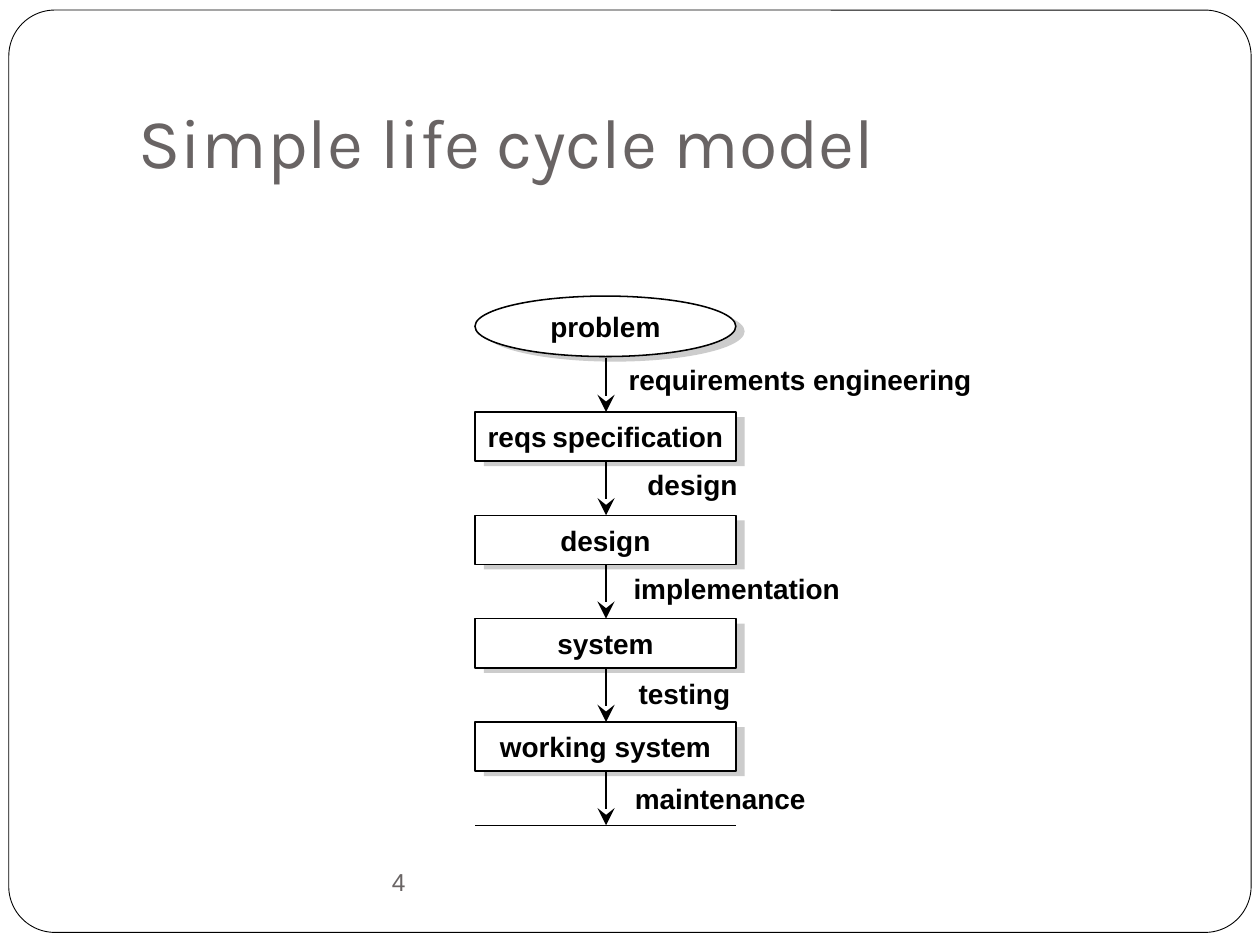
from lxml.etree import SubElement
from pptx import Presentation
from pptx.dml.color import RGBColor
from pptx.enum.shapes import MSO_CONNECTOR, MSO_SHAPE
from pptx.enum.text import MSO_ANCHOR, MSO_AUTO_SIZE, PP_ALIGN
from pptx.oxml.ns import qn
from pptx.util import Inches, Pt

COLORS = {"ink": "000000", "paper": "FFFFFF", "shadow": "CCCCCC", "heading": "696464"}
LINE_WIDTH = 0.88

STAGE_LEFT, STAGE_WIDTH = 3.77, 2.07
STAGE_HEIGHT = 0.39
FIRST_TOP, STAGE_PITCH = 3.27, 0.82
START_TOP, START_HEIGHT = 2.35, 0.48
AXIS = 4.81

STAGES = [
    [("reqs", 16), (" ", 12), ("specification", 16)],
    [("design", 16)],
    [("system", 16)],
    [("working system", 16)],
]
# Activity beside each arrow: text, left, width
ACTIVITIES = [
    ("requirements engineering", 4.89, 2.92),
    ("design", 5.04, 0.91),
    ("implementation", 4.93, 1.84),
    ("testing", 4.97, 0.92),
    ("maintenance", 4.94, 1.55),
]
ACTIVITY_TOP, ACTIVITY_PITCH = 2.83, 0.83


class SlideBuilder:
    """Holds the current slide and the shared style."""

    def __init__(self, slide):
        self.slide = slide

    def color(self, name):
        return RGBColor.from_string(COLORS[name])

    def fill_text(self, frame, runs, color="ink", font="Arial", bold=True,
                  align=PP_ALIGN.LEFT, anchor=MSO_ANCHOR.TOP,
                  margins=(0.1, 0.05, 0.1, 0.05), wrap=False):
        """Fill a text frame with one paragraph of (text, size) runs."""
        frame.word_wrap = wrap
        frame.auto_size = MSO_AUTO_SIZE.NONE
        frame.vertical_anchor = anchor
        (frame.margin_left, frame.margin_top,
         frame.margin_right, frame.margin_bottom) = map(Inches, margins)
        paragraph = frame.paragraphs[0]
        paragraph.alignment = align
        for text, size in runs:
            run = paragraph.add_run()
            run.text = text
            run.font.name = font
            run.font.size = Pt(size)
            run.font.bold = bold
            run.font.color.rgb = self.color(color)

    def title(self, text):
        title = self.slide.shapes.title
        title.left, title.top = Inches(1), Inches(0.3)
        title.width, title.height = Inches(8.5), Inches(1.25)
        self.fill_text(title.text_frame, [(text, 40)], "heading", "Karla", False,
                       anchor=MSO_ANCHOR.BOTTOM, margins=(0.1, 0.05, 0.1, 0.1), wrap=True)

    def shape(self, kind, box, fill, line_width=None):
        shape = self.slide.shapes.add_shape(kind, *map(Inches, box))
        shape.shadow.inherit = False
        shape.fill.solid()
        shape.fill.fore_color.rgb = self.color(fill)
        if line_width:
            shape.line.color.rgb = self.color("ink")
            shape.line.width = Pt(line_width)
        else:
            shape.line.fill.background()
        return shape

    def border(self):
        """Add the rounded slide border behind the title."""
        border = self.shape(MSO_SHAPE.ROUNDED_RECTANGLE, (0.07, 0.08, 9.86, 7.32), "paper", 0.5)
        border.adjustments[0] = 0.05
        self.slide.shapes.title.element.addprevious(border.element)

    def stage(self, kind, top, height, runs):
        """Add an outlined stage over its offset grey shadow."""
        self.shape(kind, (STAGE_LEFT + 0.07, top + 0.04, STAGE_WIDTH, height), "shadow")
        stage = self.shape(kind, (STAGE_LEFT, top, STAGE_WIDTH, height), "paper", LINE_WIDTH)
        self.fill_text(stage.text_frame, runs, align=PP_ALIGN.CENTER,
                       anchor=MSO_ANCHOR.MIDDLE, margins=(0, 0, 0, 0))

    def line(self, start, end, arrow=False):
        connector = self.slide.shapes.add_connector(
            MSO_CONNECTOR.STRAIGHT, *map(Inches, start + end))
        connector.line.color.rgb = self.color("ink")
        connector.line.width = Pt(LINE_WIDTH)
        properties = connector.element.spPr
        if arrow:
            SubElement(properties.find(qn("a:ln")), qn("a:tailEnd"),
                       type="stealth", w="lg", len="lg")
        SubElement(properties, qn("a:effectLst"))

    def text(self, box, runs, **style):
        text_box = self.slide.shapes.add_textbox(*map(Inches, box))
        self.fill_text(text_box.text_frame, runs, **style)


def main():
    presentation = Presentation()
    presentation.slide_width, presentation.slide_height = Inches(10), Inches(7.5)
    builder = SlideBuilder(presentation.slides.add_slide(presentation.slide_layouts[5]))

    builder.border()
    builder.title("Simple life cycle model")
    builder.text((1, 6.75, 4.33, 0.5), [("4", 14)], color="heading", bold=False,
                 align=PP_ALIGN.CENTER, anchor=MSO_ANCHOR.MIDDLE, margins=(0, 0, 0, 0))

    builder.stage(MSO_SHAPE.OVAL, START_TOP, START_HEIGHT, [("problem", 16)])
    for index, runs in enumerate(STAGES):
        builder.stage(MSO_SHAPE.RECTANGLE, FIRST_TOP + index * STAGE_PITCH, STAGE_HEIGHT, runs)

    for index, (activity, left, width) in enumerate(ACTIVITIES):
        end = FIRST_TOP + index * STAGE_PITCH
        start = end - STAGE_PITCH + STAGE_HEIGHT
        builder.line((AXIS, start), (AXIS, end), arrow=True)
        builder.text((left, ACTIVITY_TOP + index * ACTIVITY_PITCH, width, 0.37),
                     [(activity, 16)])

    bottom = FIRST_TOP + len(STAGES) * STAGE_PITCH
    builder.line((STAGE_LEFT + STAGE_WIDTH, bottom), (STAGE_LEFT, bottom))
    presentation.save("out.pptx")


if __name__ == "__main__":
    main()
